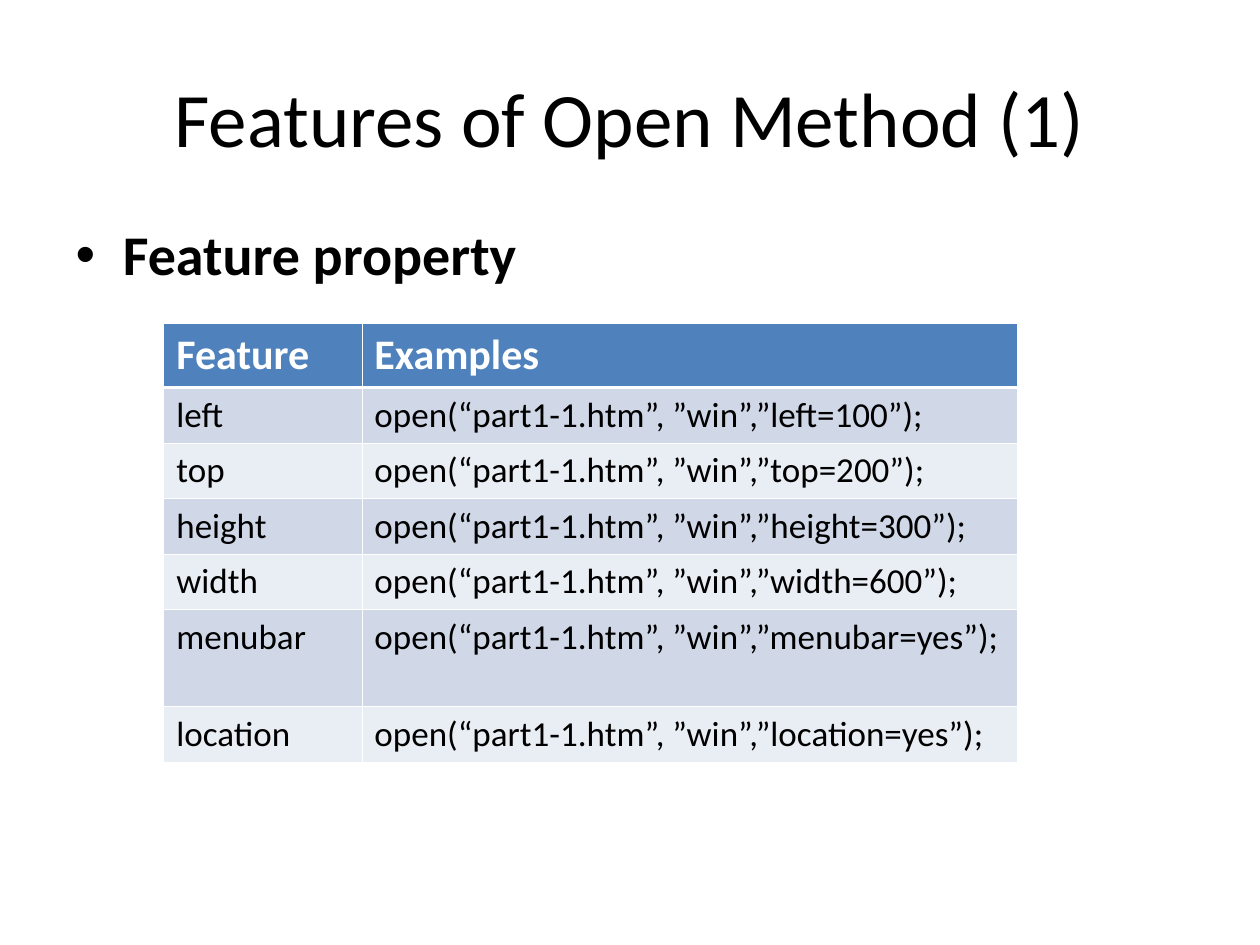
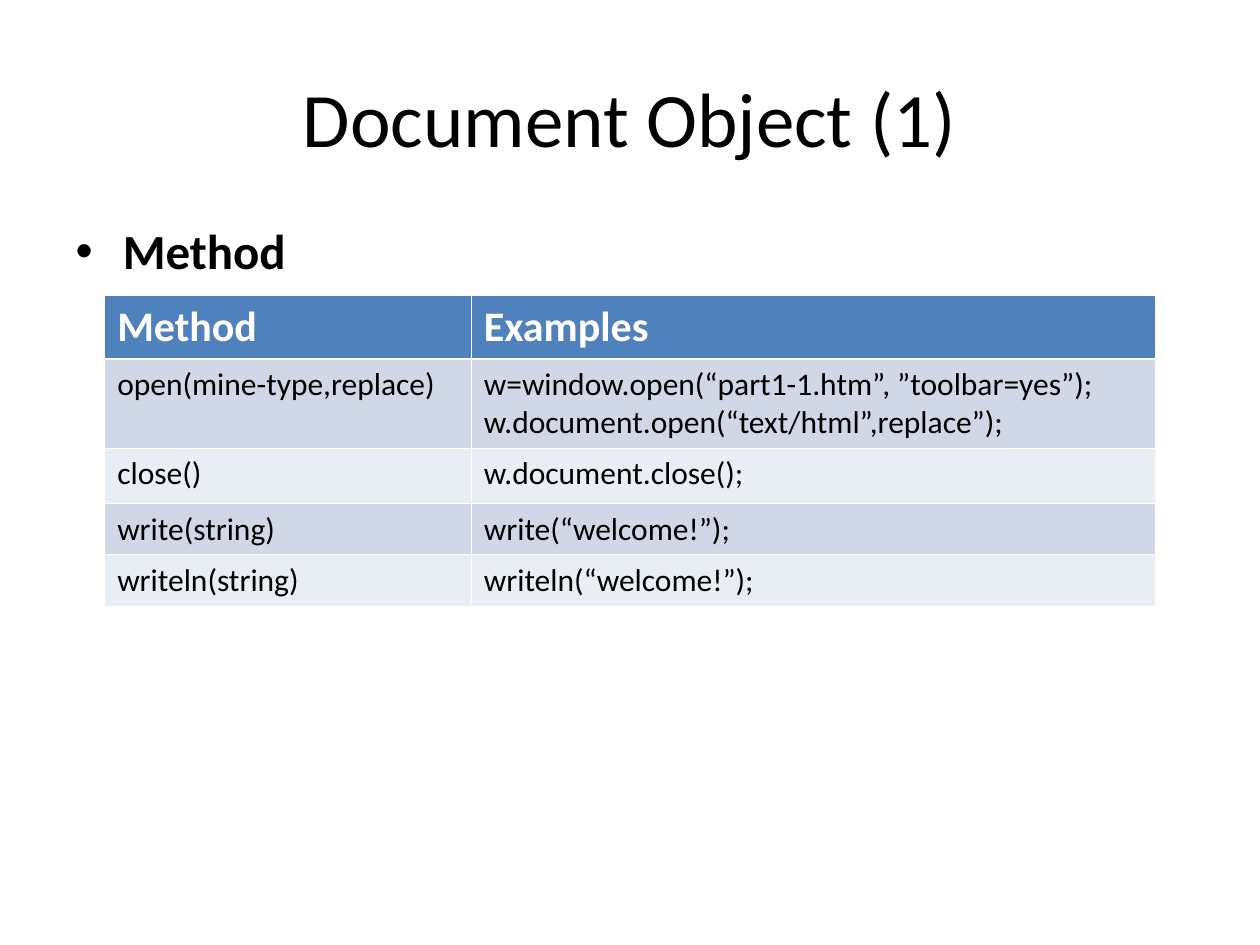
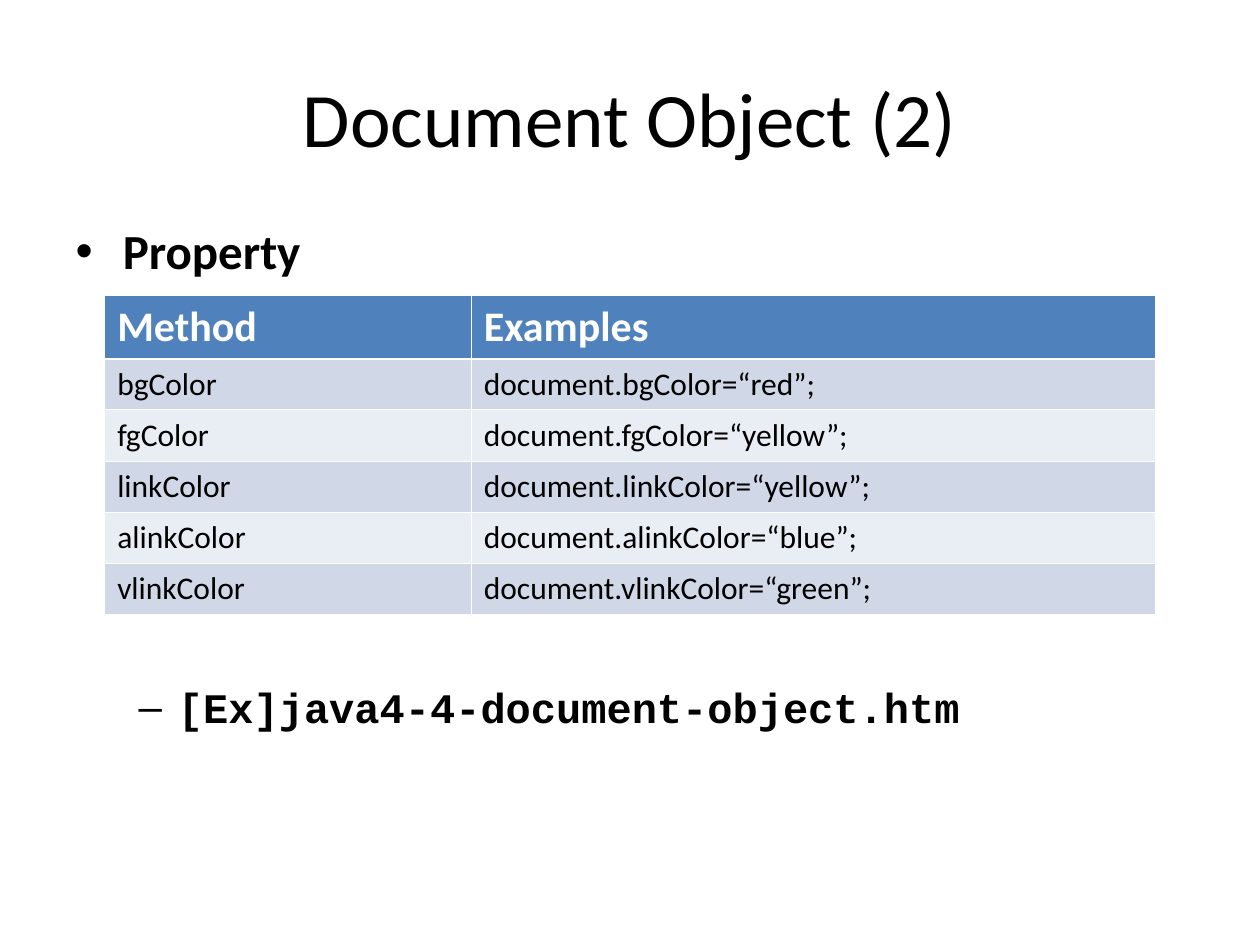
from dataclasses import dataclass

from lxml.etree import SubElement
from pptx import Presentation
from pptx.dml.color import RGBColor
from pptx.enum.text import MSO_ANCHOR, MSO_AUTO_SIZE, PP_ALIGN
from pptx.oxml.ns import qn
from pptx.util import Pt

BLACK = RGBColor(0x00, 0x00, 0x00)
WHITE = RGBColor(0xFF, 0xFF, 0xFF)
HEADER = RGBColor(0x4F, 0x81, 0xBD)
BANDS = (RGBColor(0xD0, 0xD8, 0xE8), RGBColor(0xE9, 0xED, 0xF4))

SANS = "Calibri"
MONO = "Courier New"
THIN, THICK = 0.45, 1.47
HEADER_HEIGHT = 36.5


@dataclass(frozen=True)
class Bullet:
    text: str
    size: float
    level: int = 0
    font: str = SANS
    before: float = 0


@dataclass(frozen=True)
class Grid:
    left: float
    top: float
    widths: tuple[float, ...]
    size: float
    row_height: float
    rows: tuple[tuple[str, ...], ...]
    tall_rows: tuple[tuple[int, float], ...] = ()

    def heights(self) -> list[float]:
        tall = dict(self.tall_rows)
        return [HEADER_HEIGHT] + [tall.get(i, self.row_height) for i in range(1, len(self.rows))]


@dataclass(frozen=True)
class Page:
    title: str
    bullets: tuple[Bullet, ...]
    grid: Grid


def document_grid(rows, tall_rows=()) -> Grid:
    return Grid(59.8, 168.5, (209.5, 391), 18, 29.2, (("Method", "Examples"), *rows), tall_rows)


WINDOW_FEATURES = (
    ("left", "100"), ("top", "200"), ("height", "300"),
    ("width", "600"), ("menubar", "yes"), ("location", "yes"),
)
DOCUMENT_COLORS = (
    ("bgColor", "red"), ("fgColor", "yellow"), ("linkColor", "yellow"),
    ("alinkColor", "blue"), ("vlinkColor", "green"),
)

PAGES = (
    Page(
        "Features of Open Method (1)",
        (Bullet("Feature property", 32),),
        Grid(
            93.6, 185, (113.2, 374.4), 20, 31.7,
            (("Feature", "Examples"),
             *((name, f"open(“part1-1.htm”, ”win”,”{name}={value}”);")
               for name, value in WINDOW_FEATURES)),
            ((5, 55.4),),
        ),
    ),
    Page(
        "Document Object (1)",
        (Bullet("Method", 28),),
        document_grid(
            (("open(mine-type,replace)",
              "w=window.open(“part1-1.htm”, ”toolbar=yes”);\n"
              "w.document.open(“text/html”,replace”);"),
             ("close()", "w.document.close();"),
             ("write(string)", "write(“welcome!”);"),
             ("writeln(string)", "writeln(“welcome!”);")),
            ((1, 51), (2, 31.7)),
        ),
    ),
    Page(
        "Document Object (2)",
        (Bullet("Property", 28),
         Bullet("[Ex]java4-4-document-object.htm", 24, 1, MONO, 232.6)),
        document_grid(
            tuple((name, f"document.{name}=“{color}”;") for name, color in DOCUMENT_COLORS)
        ),
    ),
)


def write(p, text: str, *, size: float, font: str = SANS, color: RGBColor = BLACK,
          bold: bool = False) -> None:
    r = p.add_run()
    r.text = text
    r.font.name = font
    r.font.size = Pt(size)
    r.font.bold = bold
    r.font.color.rgb = color


def place(sp, left: float, top: float, width: float, height: float) -> None:
    sp.left, sp.top, sp.width, sp.height = Pt(left), Pt(top), Pt(width), Pt(height)


def add_title(s, text: str) -> None:
    sp = s.shapes.title
    place(sp, 36, 21.6, 648, 90)
    tf = sp.text_frame
    tf.vertical_anchor = MSO_ANCHOR.MIDDLE
    tf.auto_size = MSO_AUTO_SIZE.NONE
    p = tf.paragraphs[0]
    p.alignment = PP_ALIGN.CENTER
    write(p, text, size=44)


def add_bullets(s, bullets: tuple[Bullet, ...]) -> None:
    sp = s.placeholders[1]
    place(sp, 36, 126, 648, 356.4)
    tf = sp.text_frame
    tf.auto_size = MSO_AUTO_SIZE.NONE
    for i, b in enumerate(bullets):
        p = tf.add_paragraph() if i else tf.paragraphs[0]
        p.level = b.level
        p.line_spacing = 0.9
        p.space_before = Pt(b.before)
        write(p, b.text, size=b.size, font=b.font, bold=True)


def set_borders(cell, top: float, bottom: float) -> None:
    tc_pr = cell._tc.get_or_add_tcPr()
    sides = (("a:lnL", THIN), ("a:lnR", THIN), ("a:lnT", top), ("a:lnB", bottom))
    for tag, width in sides:
        ln = SubElement(tc_pr, qn(tag), w=str(Pt(width)))
        fill = SubElement(ln, qn("a:solidFill"))
        SubElement(fill, qn("a:srgbClr"), val=str(WHITE))


def add_grid(s, grid: Grid) -> None:
    heights = grid.heights()
    table = s.shapes.add_table(
        len(grid.rows), len(grid.widths), Pt(grid.left), Pt(grid.top),
        Pt(sum(grid.widths)), Pt(sum(heights))).table
    for column, width in zip(table.columns, grid.widths):
        column.width = Pt(width)
    for i, (texts, height) in enumerate(zip(grid.rows, heights)):
        table.rows[i].height = Pt(height)
        is_header = i == 0
        for j, text in enumerate(texts):
            cell = table.cell(i, j)
            set_borders(cell, THICK if i == 1 else THIN, THICK if is_header else THIN)
            cell.fill.solid()
            cell.fill.fore_color.rgb = HEADER if is_header else BANDS[(i - 1) % 2]
            tf = cell.text_frame
            for k, line in enumerate(text.split("\n")):
                p = tf.add_paragraph() if k else tf.paragraphs[0]
                write(p, line, size=24 if is_header else grid.size,
                      color=WHITE if is_header else BLACK, bold=is_header)


def main() -> None:
    prs = Presentation()
    prs.slide_width, prs.slide_height = Pt(720), Pt(540)
    for page in PAGES:
        s = prs.slides.add_slide(prs.slide_layouts[1])
        add_title(s, page.title)
        add_bullets(s, page.bullets)
        add_grid(s, page.grid)
    prs.save("out.pptx")


if __name__ == "__main__":
    main()
